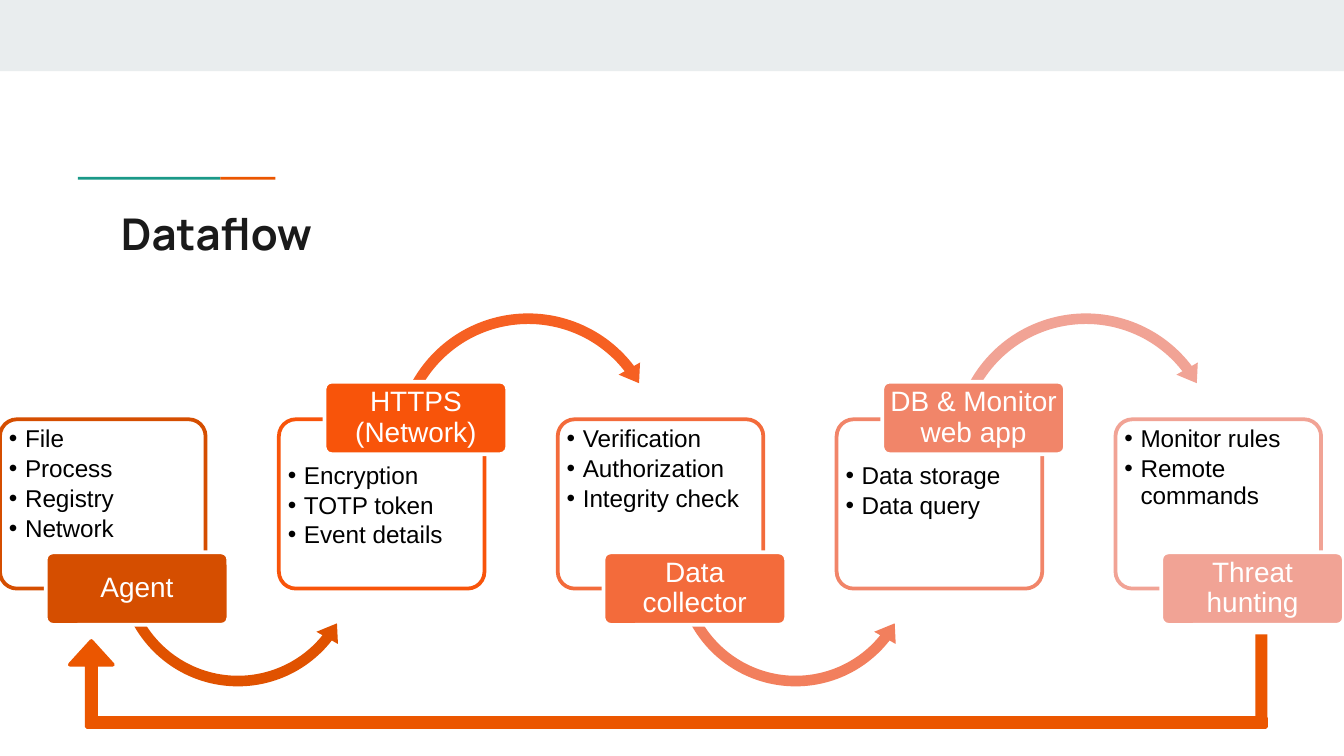
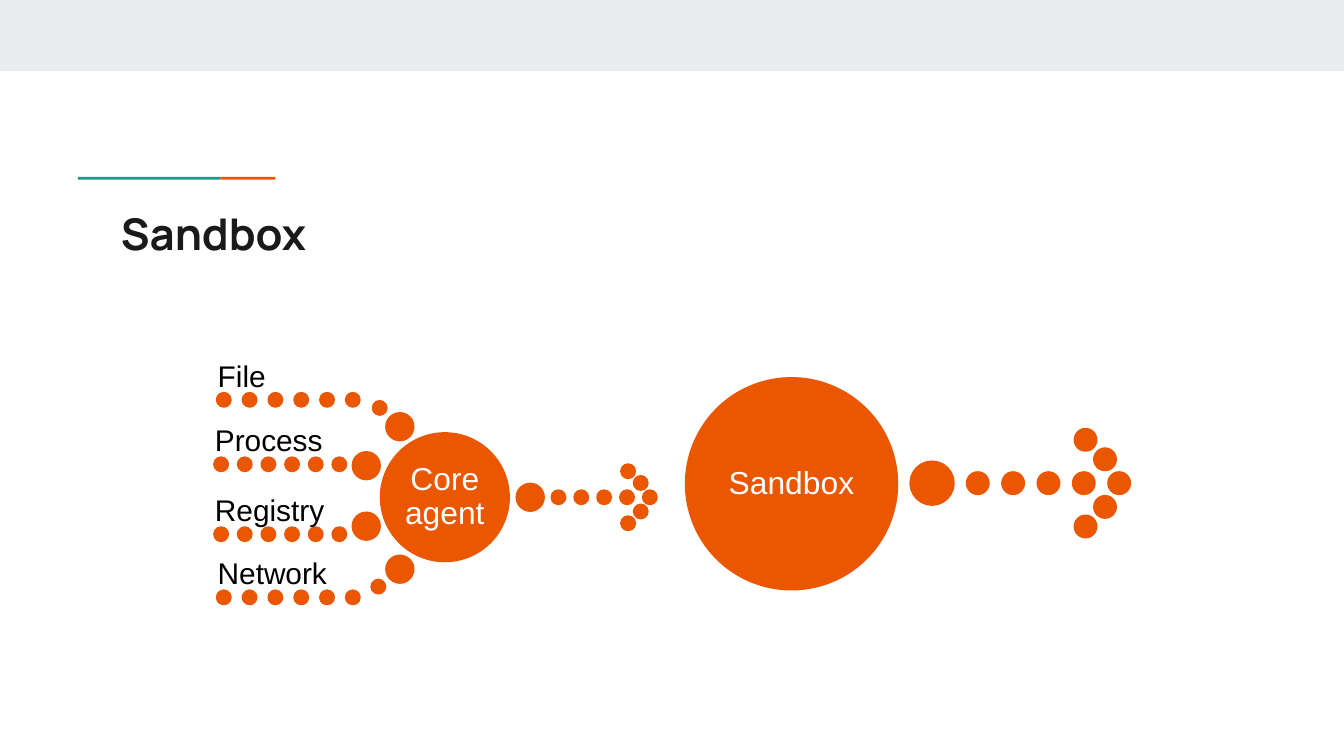
import pptx
import pptx.util
import pptx.dml.color
import pptx.enum.shapes
import pptx.enum.text
import pptx.oxml
import pptx.oxml.ns

SHAPE = pptx.enum.shapes.MSO_SHAPE
ALIGN = pptx.enum.text.PP_ALIGN
ANCHOR = pptx.enum.text.MSO_ANCHOR
COLS, ROWS = 100, 56.25
CELL = pptx.util.Inches(0.1)

COLORS = {
    "white": "FFFFFF",
    "black": "000000",
    "ink": "1A1A1A",
    "band": "E9EDEE",
    "teal": "1A9988",
    "orange": "EB5600",
}
STAGES = [
    ("Agent", ["File", "Process", "Registry", "Network"], "D54E00", "E05200"),
    ("HTTPS (Network)", ["Encryption", "TOTP token", "Event details"], "F8540A", "F66022"),
    ("Data collector", ["Verification", "Authorization", "Integrity check"], "F36B3B", "F27F5D"),
    ("DB & Monitor web app", ["Data storage", "Data query"], "F18569", "F1A395"),
    ("Threat hunting", ["Monitor rules", "Remote commands"], "F1A395", None),
]
STAGE_STEP = 20.75
INPUTS = [
    ("File", 16.2, 29.3, 1.92, (27.8, 29.9), (28.8, 30.8)),
    ("Process", 16, 34.1, 1.76, None, (26.3, 33.7)),
    ("Registry", 16, 39.3, 1.76, None, (26.3, 38.2)),
    ("Network", 16.2, 44, 1.92, (27.7, 43.2), (28.8, 41.4)),
]
SMALL_DOT, JOINT_DOT = 0.9, 1.9


def rgb(value):
    """Turn a hex string into a colour."""
    return pptx.dml.color.RGBColor.from_string(value)


def grid(*cells):
    """Turn grid cells into slide lengths."""
    return [round(n * CELL) for n in cells]


def write(sp, lines, size=15, color=COLORS["white"], font="Arial", bold=False,
          align=ALIGN.LEFT, anchor=ANCHOR.TOP, margins=(0, 0, 0, 0),
          spacing=0.9, after=None, bullet=False):
    """Fill a shape with formatted paragraphs; margins are left, top, right, bottom."""
    tf = sp.text_frame
    tf.word_wrap = True
    tf.auto_size = pptx.enum.text.MSO_AUTO_SIZE.NONE
    tf.vertical_anchor = anchor
    tf.margin_left, tf.margin_top, tf.margin_right, tf.margin_bottom = grid(*margins)
    for i, line in enumerate(lines):
        p = tf.paragraphs[0] if i == 0 else tf.add_paragraph()
        p.alignment = align
        p.line_spacing = spacing
        r = p.add_run()
        r.text = line
        r.font.size = pptx.util.Pt(size)
        r.font.name = font
        r.font.bold = bold
        r.font.color.rgb = rgb(color)
        if after:
            p.space_after = pptx.util.Pt(0)
            space = p._p.get_or_add_pPr().find(pptx.oxml.ns.qn("a:spcAft"))
            space.remove(space[0])
            space.append(element("spcPct", val=after * 1000))
        if bullet:
            add_bullet(p)


def element(tag, **attributes):
    """Make a DrawingML element with attributes."""
    el = pptx.oxml.parse_xml(f"<a:{tag} {pptx.oxml.ns.nsdecls('a')}/>")
    for name, value in attributes.items():
        el.set(name, str(value))
    return el


def add_bullet(p):
    """Give a paragraph a hanging round bullet."""
    ppr = p._p.get_or_add_pPr()
    hang = grid(1.2)[0]
    ppr.set("marL", str(hang))
    ppr.set("indent", str(-hang))
    ppr.append(element("buFont", typeface="Arial"))
    ppr.append(element("buChar", char="•"))


def add_shape(slide, kind, x, y, w, h, fill, line=None, adj=()):
    """Draw a flat preset shape placed in grid cells."""
    sp = slide.shapes.add_shape(kind, *grid(x, y, w, h))
    sp.shadow.inherit = False
    sp.fill.solid()
    sp.fill.fore_color.rgb = rgb(fill)
    if line:
        sp.line.color.rgb = rgb(line)
        sp.line.width = pptx.util.Pt(2)
    else:
        sp.line.fill.background()
    for i, value in enumerate(adj):
        sp.adjustments[i] = value
    return sp


def add_slide(prs, title):
    """Add a slide with the band, the two-colour rule and the title."""
    slide = prs.slides.add_slide(prs.slide_layouts[5])
    add_shape(slide, SHAPE.RECTANGLE, 0, 0, COLS, 5.3, COLORS["band"])
    add_shape(slide, SHAPE.RECTANGLE, 5.8, 13.17, 10.6, 0.2, COLORS["teal"])
    add_shape(slide, SHAPE.RECTANGLE, 16.4, 13.17, 4.1, 0.2, COLORS["orange"])
    sp = slide.shapes.title
    sp.left, sp.top, sp.width, sp.height = grid(8, 14.4, 84.1, 5.9)
    write(sp, [title], size=23.4, color=COLORS["ink"], font="Manrope", bold=True,
          margins=(1, 1, 1, 1), spacing=1)
    return slide


def add_stage(slide, index, name, items, color, arrow):
    """Draw one stage: its list card, the arrow onward and its label."""
    x = index * STAGE_STEP
    label_on_top = index % 2 == 1
    card = add_shape(slide, SHAPE.ROUNDED_RECTANGLE, x, 31.2, 15.3, 12.6,
                     COLORS["white"], color, [0.1])
    write(card, items, size=13, color=COLORS["black"], after=15, bullet=True,
          margins=(0.3, 2.9 if label_on_top else 0.2, 0.3, 0.2))
    if arrow and label_on_top:
        add_shape(slide, SHAPE.CIRCULAR_ARROW, x + 8.15, 22.8, 20.8, 20.8, arrow,
                  adj=[0.038, 4.732, 193.513, 125.755, 0.044])
    elif arrow:
        add_shape(slide, SHAPE.LEFT_CIRCULAR_ARROW, x + 8.3, 32.8, 18.8, 18.8, arrow,
                  adj=[0.042, 5.273, 23.028, 90.245, 0.049])
    label = add_shape(slide, SHAPE.ROUNDED_RECTANGLE, x + 3.4, 28.4 if label_on_top else 41.1,
                      13.6, 5.4, color, COLORS["white"], [0.1])
    write(label, [name], align=ALIGN.CENTER, anchor=ANCHOR.MIDDLE,
          margins=(0.3, 0.2, 0.3, 0.2), after=35)


def add_return_arrow(slide):
    """Draw the arrow from the last stage back to the first."""
    sp = add_shape(slide, SHAPE.BENT_UP_ARROW, 5.2, 47.7, 89, 6.4, COLORS["orange"],
                   COLORS["orange"], [0.106, 0.25, 0.275])
    sp.element.spPr.find(pptx.oxml.ns.qn("a:xfrm")).set("flipH", "1")
    add_shape(slide, SHAPE.RECTANGLE, 93.4, 47.2, 0.9, 6.4, COLORS["orange"])


def add_dot(slide, x, y, size):
    """Draw an orange circle."""
    return add_shape(slide, SHAPE.OVAL, x, y, size, size, COLORS["orange"], COLORS["orange"])


def add_node(slide, x, y, size, name):
    """Draw a named circle."""
    write(add_dot(slide, x, y, size), [name], size=17, align=ALIGN.CENTER,
          anchor=ANCHOR.MIDDLE, margins=(0.2, 0.2, 0.2, 0.2), after=35)


def add_input(slide, name, x, y, pitch, bend, joint):
    """Draw a dotted input line with its name above."""
    for i in range(6):
        add_dot(slide, x + i * pitch, y, SMALL_DOT)
    if bend:
        add_dot(slide, *bend, SMALL_DOT)
    add_dot(slide, *joint, JOINT_DOT)
    box = slide.shapes.add_textbox(*grid(x, y - 2.3, 5 * pitch + SMALL_DOT, 2.3))
    write(box, [name], size=16, color=COLORS["black"], anchor=ANCHOR.BOTTOM, after=35)


def add_dotted_arrow(slide, lead_x, lead, x, middle, dot, pitch):
    """Draw a lead circle, a row of dots and a dotted arrowhead around a middle line."""
    add_dot(slide, lead_x, middle - lead / 2, lead)
    for i in range(5):
        add_dot(slide, x + i * pitch, middle - dot / 2, dot)
    for steps, rise in ((3.05, 2.15), (3.6, 1.18)):
        for side in (-1, 1):
            add_dot(slide, x + steps * pitch, middle + (side * rise - 0.5) * dot, dot)


def build_dataflow(prs):
    """Build the slide with the five stages."""
    slide = add_slide(prs, "Dataflow")
    for index, stage in enumerate(STAGES):
        add_stage(slide, index, *stage)
    add_return_arrow(slide)


def build_sandbox(prs):
    """Build the slide with inputs, core agent and sandbox."""
    slide = add_slide(prs, "Sandbox")
    add_dotted_arrow(slide, 38.5, JOINT_DOT, 41.1, 37, SMALL_DOT, 1.7)
    add_node(slide, 28.4, 32.3, 9.4, "Core agent")
    for line in INPUTS:
        add_input(slide, *line)
    add_dotted_arrow(slide, 67.8, 3.1, 72, 35.95, 1.5, 2.63)
    add_node(slide, 51.1, 28.2, 15.6, "Sandbox")


def main():
    """Build both slides and save them."""
    prs = pptx.Presentation()
    prs.slide_width, prs.slide_height = grid(COLS, ROWS)
    build_dataflow(prs)
    build_sandbox(prs)
    prs.save("out.pptx")


if __name__ == "__main__":
    main()
